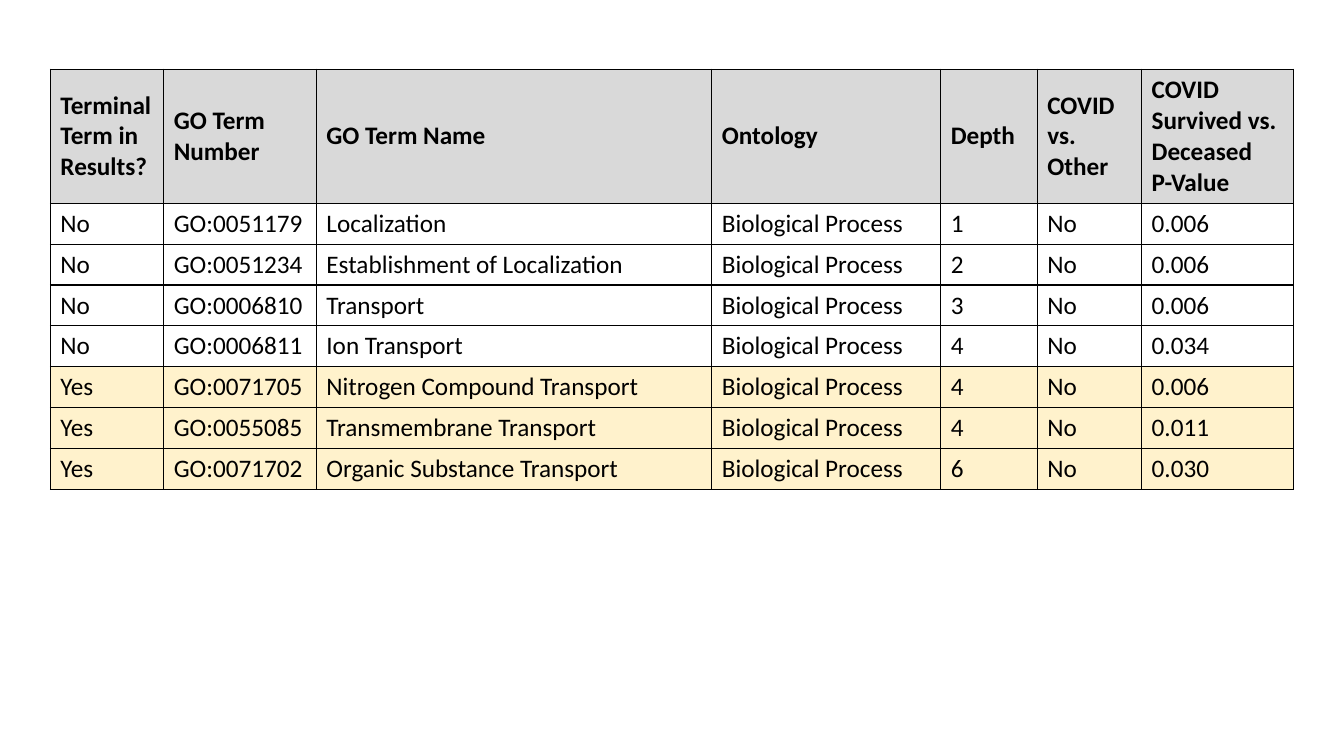
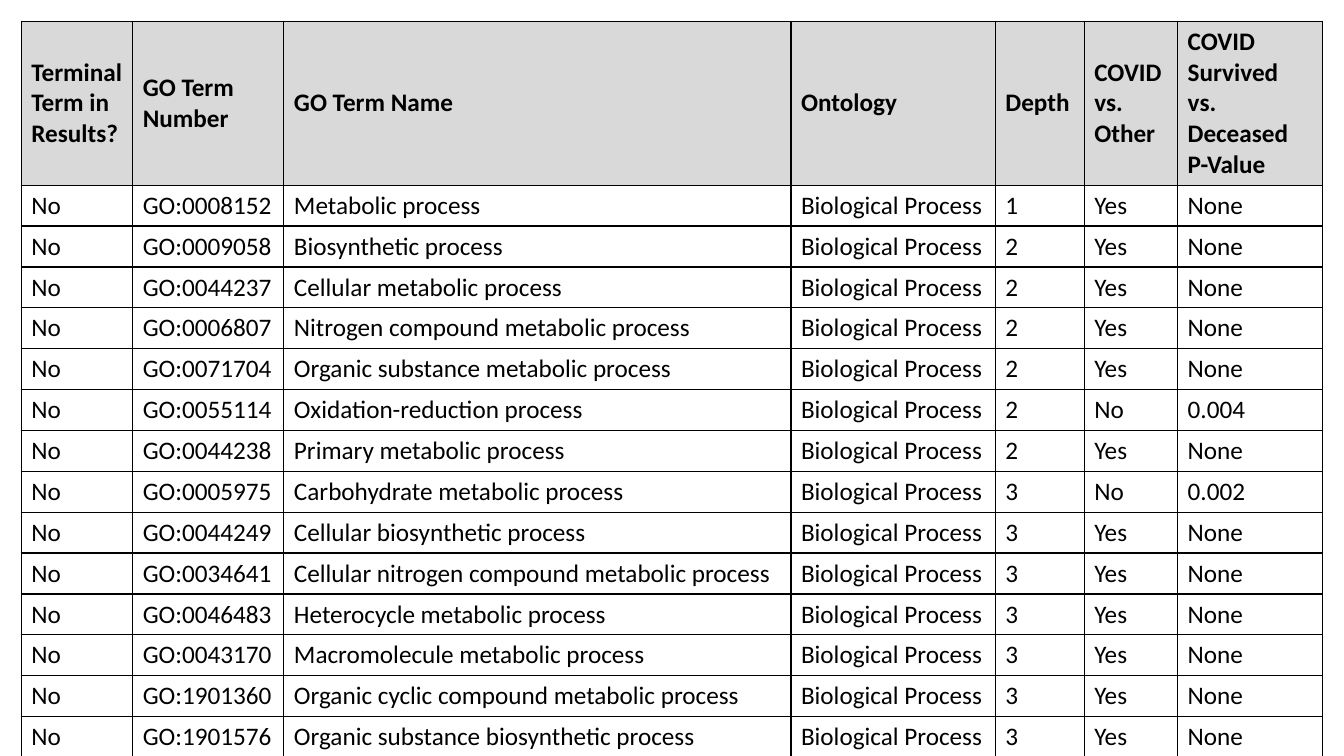
from lxml import etree
from pptx import Presentation
from pptx.dml.color import RGBColor
from pptx.enum import text
from pptx.oxml import ns
from pptx.util import Pt

COLORS = {"ink": "000000", "head": "D9D9D9", "mark": "FFF2CC"}
FONT, SIZE, ROW = "Calibri", 18, 29.2
HEADS = ["Terminal Term in Results?", "GO Term Number", "GO Term Name", "Ontology",
         "Depth", "COVID vs. Other", "COVID Survived vs. Deceased\nP-Value"]

# Terminal, number, name, depth, COVID vs. other, p-value
TRANSPORT = [
    ("No", "0051179", "Localization", 1, "No", "0.006"),
    ("No", "0051234", "Establishment of Localization", 2, "No", "0.006"),
    ("No", "0006810", "Transport", 3, "No", "0.006"),
    ("No", "0006811", "Ion Transport", 4, "No", "0.034"),
    ("Yes", "0071705", "Nitrogen Compound Transport", 4, "No", "0.006"),
    ("Yes", "0055085", "Transmembrane Transport", 4, "No", "0.011"),
    ("Yes", "0071702", "Organic Substance Transport", 6, "No", "0.030"),
]
METABOLIC = [
    ("No", "0008152", "Metabolic process", 1, "Yes", "None"),
    ("No", "0009058", "Biosynthetic process", 2, "Yes", "None"),
    ("No", "0044237", "Cellular metabolic process", 2, "Yes", "None"),
    ("No", "0006807", "Nitrogen compound metabolic process", 2, "Yes", "None"),
    ("No", "0071704", "Organic substance metabolic process", 2, "Yes", "None"),
    ("No", "0055114", "Oxidation-reduction process", 2, "No", "0.004"),
    ("No", "0044238", "Primary metabolic process", 2, "Yes", "None"),
    ("No", "0005975", "Carbohydrate metabolic process", 3, "No", "0.002"),
    ("No", "0044249", "Cellular biosynthetic process", 3, "Yes", "None"),
    ("No", "0034641", "Cellular nitrogen compound metabolic process", 3, "Yes", "None"),
    ("No", "0046483", "Heterocycle metabolic process", 3, "Yes", "None"),
    ("No", "0043170", "Macromolecule metabolic process", 3, "Yes", "None"),
    ("No", "1901360", "Organic cyclic compound metabolic process", 3, "Yes", "None"),
    ("No", "1901576", "Organic substance biosynthetic process", 3, "Yes", "None"),
]


def color(name):
    return RGBColor.from_string(COLORS[name])


def border(cell):
    props = cell._tc.get_or_add_tcPr()
    for side in "LRTB":
        line = etree.SubElement(props, ns.qn(f"a:ln{side}"), w=str(Pt(1)))
        fill = etree.SubElement(line, ns.qn("a:solidFill"))
        etree.SubElement(fill, ns.qn("a:srgbClr"), val=COLORS["ink"])


def write(cell, words, fill, bold):
    border(cell)
    if fill:
        cell.fill.solid()
        cell.fill.fore_color.rgb = color(fill)
    else:
        cell.fill.background()
    cell.vertical_anchor = text.MSO_ANCHOR.MIDDLE
    frame = cell.text_frame
    for i, part in enumerate(words.split("\n")):
        para = frame.add_paragraph() if i else frame.paragraphs[0]
        run = para.add_run()
        run.text = part
        font = run.font
        font.name, font.size, font.bold = FONT, Pt(SIZE), bold
        font.color.rgb = color("ink")


def term_slide(deck, left, top, widths, head, terms):
    """Add a slide with a table of GO terms; terminal terms are tinted."""
    slide = deck.slides.add_slide(deck.slide_layouts[6])
    high = head + ROW * len(terms)
    table = slide.shapes.add_table(len(terms) + 1, len(HEADS), Pt(left), Pt(top),
                                   Pt(sum(widths)), Pt(high)).table
    table.horz_banding = False
    for col, width in zip(table.columns, widths):
        col.width = Pt(width)
    for i, row in enumerate(table.rows):
        row.height = Pt(ROW if i else head)

    for cell, words in zip(table.rows[0].cells, HEADS):
        write(cell, words, "head", True)
    for i, (last, code, name, depth, other, value) in enumerate(terms, 1):
        fill = "mark" if last == "Yes" else None
        row = [last, f"GO:{code}", name, "Biological Process", str(depth), other, value]
        for cell, words in zip(table.rows[i].cells, row):
            write(cell, words, fill, False)


def main():
    deck = Presentation()
    deck.slide_width, deck.slide_height = Pt(960), Pt(540)
    term_slide(deck, 36, 49.5, [81, 109, 282.5, 163.5, 69, 74.5, 108.5], 95.7, TRANSPORT)
    term_slide(deck, 15.2, 15.2, [79.6, 108, 362.2, 146, 63.5, 66.7, 103.4], 117, METABOLIC)
    deck.save("out.pptx")


if __name__ == "__main__":
    main()
